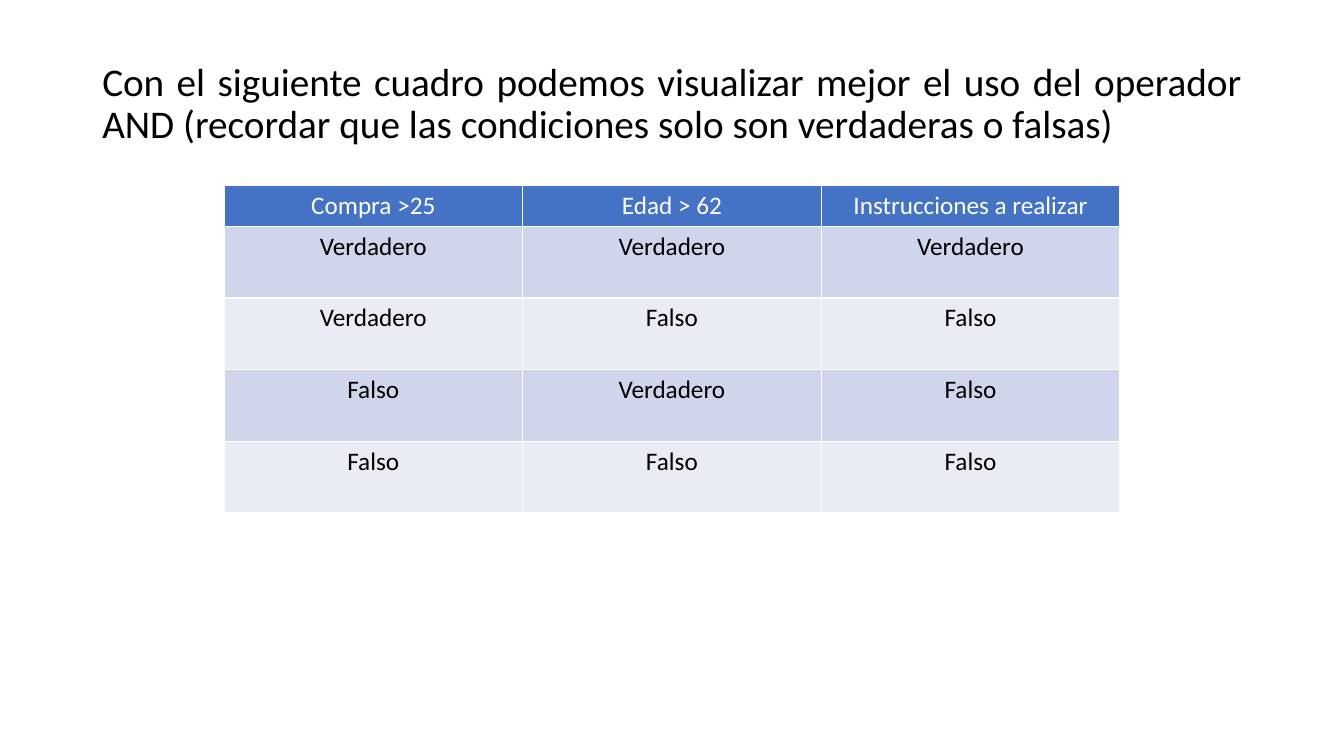
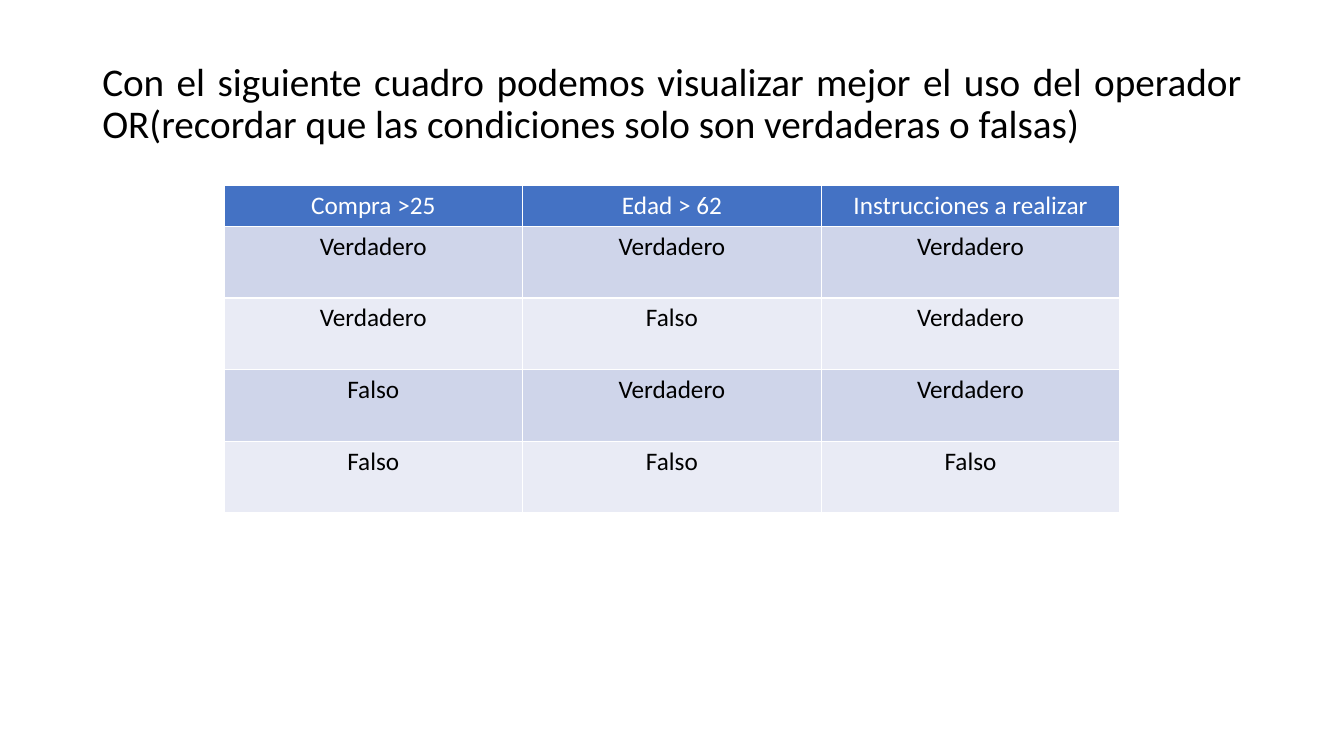
from pptx import Presentation
from pptx.dml.color import RGBColor
from pptx.enum.text import PP_ALIGN
from pptx.util import Pt

CENTER, JUSTIFY = PP_ALIGN.CENTER, PP_ALIGN.JUSTIFY

TITLE = ("Con el siguiente cuadro podemos visualizar mejor el uso del operador "
         "{}(recordar que las condiciones solo son verdaderas o falsas)")
HEADS = ["Compra >25", "Edad > 62", "Instrucciones a realizar"]
V, F = "Verdadero", "Falso"
CASES = [(V, V), (V, F), (F, V), (F, F)]
SLIDES = [
    ("AND ", [V, F, F, F]),
    ("OR", [V, V, V, F]),
]

COLORS = {"text": "000000", "head": "4472C4", "head_text": "FFFFFF",
          "odd": "CFD5EA", "even": "E9EBF5"}
FONT = "Calibri"
WIDTH, HEIGHT = 960, 540
TITLE_BOX = (66, 41, 828, 446)
TABLE_TOP, TABLE_WIDTH = 132.4, 640
HEAD_HEIGHT, ROW_HEIGHT = 29.2, 51.2


def color(name):
    return RGBColor.from_string(COLORS[name])


def write(frame, text, size, ink, align):
    frame.text = text
    par = frame.paragraphs[0]
    par.alignment = align
    font = par.runs[0].font
    font.name, font.size, font.bold = FONT, Pt(size), False
    font.color.rgb = color(ink)
    return par


def add_title(slide, text):
    frame = slide.shapes.add_textbox(*map(Pt, TITLE_BOX)).text_frame
    frame.word_wrap = True
    par = write(frame, text, 28, "text", JUSTIFY)
    par.line_spacing = 0.9
    par.space_before = Pt(10)


def add_truth(slide, results):
    """Add the truth table, centred across the slide."""
    rows = [HEADS] + [(*case, end) for case, end in zip(CASES, results)]
    heights = [HEAD_HEIGHT] + [ROW_HEIGHT] * len(CASES)
    table = slide.shapes.add_table(
        len(rows), len(HEADS), Pt((WIDTH - TABLE_WIDTH) / 2), Pt(TABLE_TOP),
        Pt(TABLE_WIDTH), Pt(sum(heights))).table
    for r, (row, height) in enumerate(zip(rows, heights)):
        table.rows[r].height = Pt(height)
        fill = "head" if r == 0 else "odd" if r % 2 else "even"
        ink = "text" if r else "head_text"
        for c, text in enumerate(row):
            cell = table.cell(r, c)
            cell.fill.solid()
            cell.fill.fore_color.rgb = color(fill)
            write(cell.text_frame, text, 18, ink, CENTER)


def main():
    deck = Presentation()
    deck.slide_width, deck.slide_height = Pt(WIDTH), Pt(HEIGHT)
    blank = deck.slide_layouts[6]
    for name, results in SLIDES:
        slide = deck.slides.add_slide(blank)
        add_title(slide, TITLE.format(name))
        add_truth(slide, results)
    deck.save("out.pptx")


if __name__ == "__main__":
    main()
